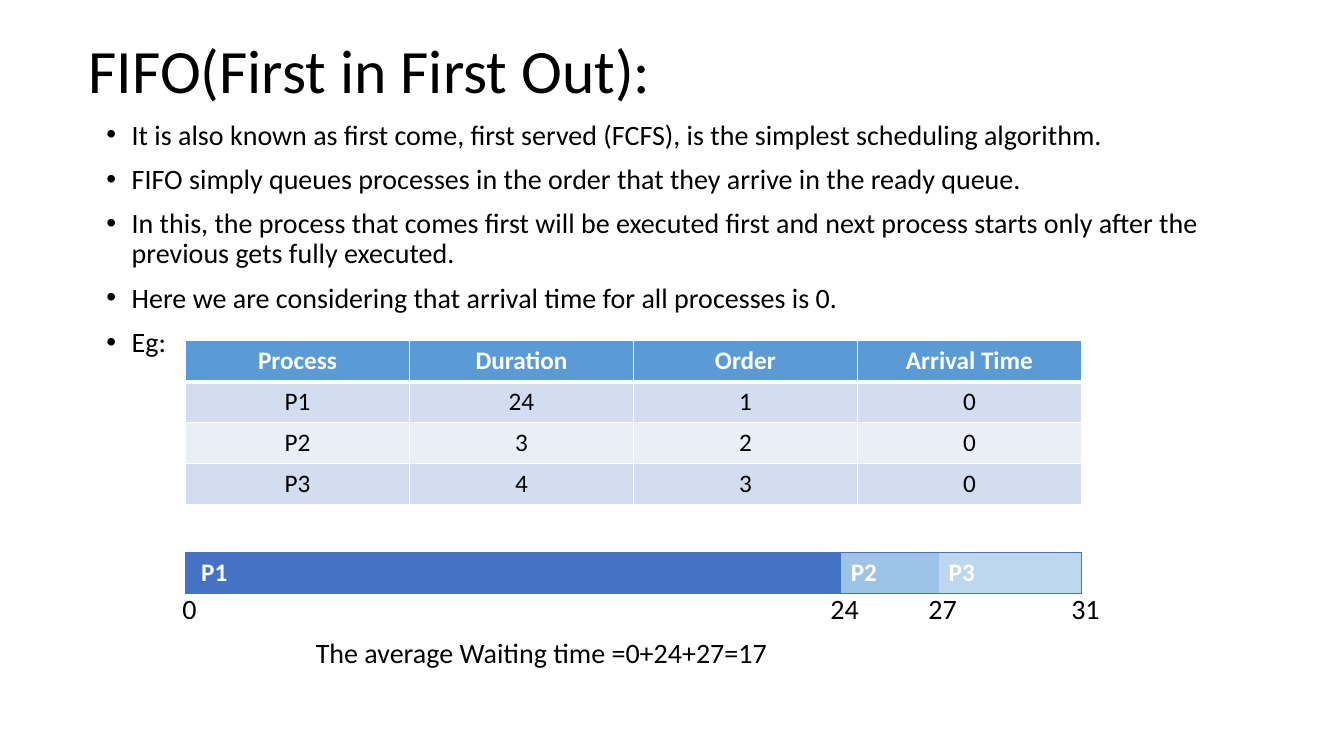
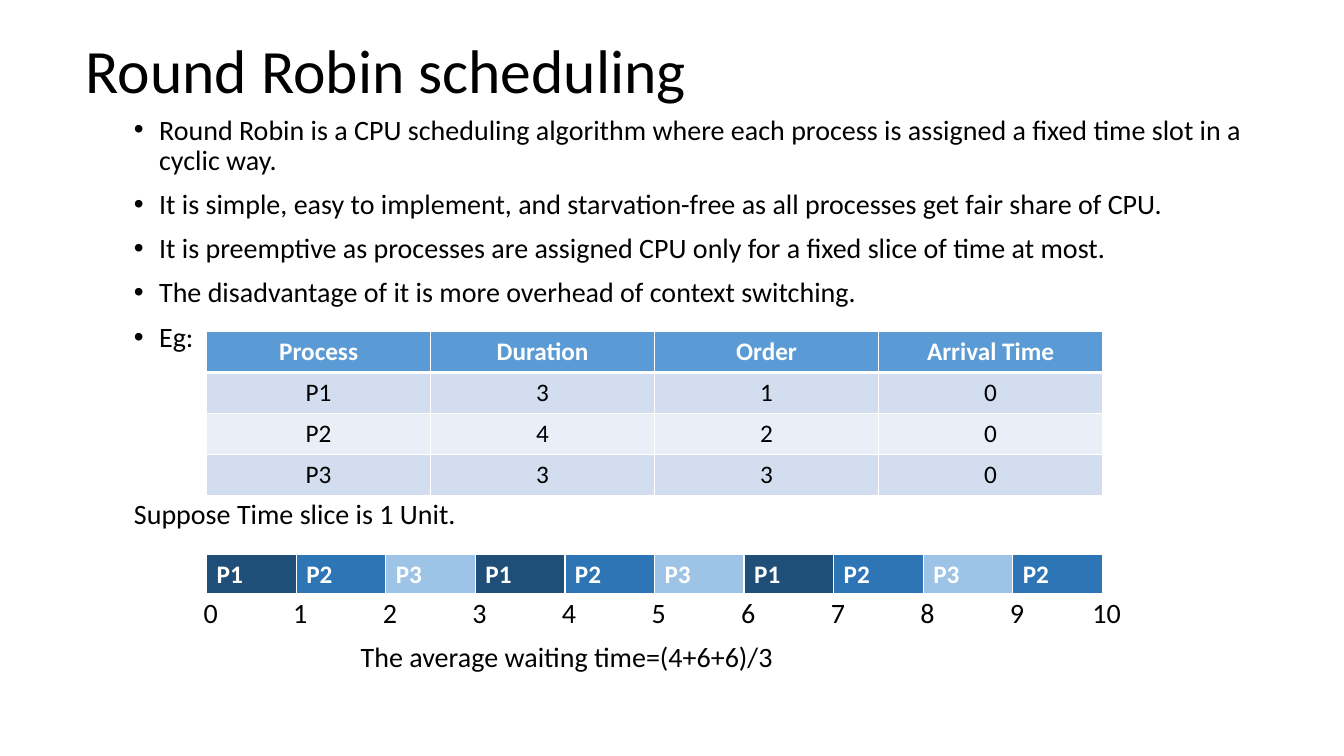
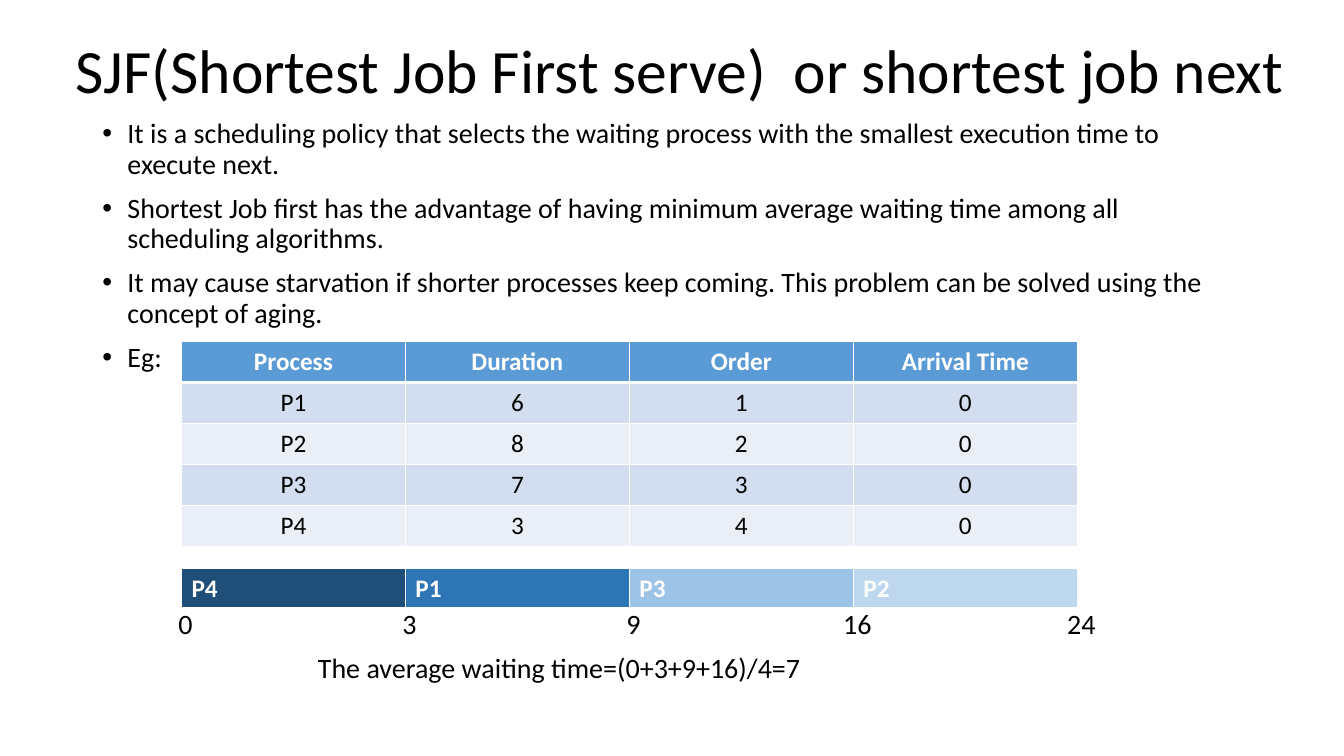
import dataclasses
import itertools
import typing

import lxml.etree
import pptx
import pptx.dml.color
import pptx.enum.text
import pptx.oxml.ns
import pptx.slide
import pptx.table
import pptx.util

Pt = pptx.util.Pt
qn = pptx.oxml.ns.qn

COLOURS = {
    "text": "000000", "white": "FFFFFF",
    "header": "5B9BD5", "band_dark": "D2DEEF", "band_light": "EAEFF7",
    "royal": "4472C4", "navy": "1F4E79", "blue": "2E75B6",
    "sky": "9DC3E6", "pale": "BDD7EE",
}
FONT = "Calibri"
SLIDE_WIDTH, SLIDE_HEIGHT = 960, 540
TITLE_HEIGHT = 104.4
TITLE_SIZE, BODY_SIZE, TABLE_SIZE = 44, 20, 18
LINE_SPACING, PARAGRAPH_GAP = 0.9, 10
BULLET_INDENT = 18
INSET = 7.2
ROW_HEIGHT = 29.2
COLUMN_WIDTH = 160
TICK_SHIFT = 3
HEADINGS = ("Process", "Duration", "Order", "Arrival Time")


class Line(typing.NamedTuple):
    """A cell border."""
    colour: str
    width: float


class Segment(typing.NamedTuple):
    """One stretch of the timeline bar."""
    label: str
    colour: str
    width: float


Borders = dict[str, Line | None]
GRID: Borders = {side: Line("white", 1) for side in "LRTB"}
UNDERLINED: Borders = {**GRID, "B": Line("white", 3)}
OUTLINE: Borders = {side: Line("royal", 0.5) for side in "LRTB"}


@dataclasses.dataclass
class Schedule:
    """The content of one scheduling slide."""
    title: str
    title_left: float
    body_left: float
    body_top: float
    bullets: list[str]
    table_left: float
    table_top: float
    durations: list[int]
    bar_top: float
    segments: list[Segment]
    ticks: list[int]
    tick_gap: float
    result: str
    result_indent: float
    title_width: float = 828
    remark: str = ""
    remark_gap: float = 0
    outlined: bool = False


def rgb(name: str) -> pptx.dml.color.RGBColor:
    """Return a named colour."""
    return pptx.dml.color.RGBColor.from_string(COLOURS[name])


def add_run(paragraph: typing.Any, text: str, size: float,
            colour: str = "text", bold: bool = False) -> None:
    """Add one formatted run."""
    run = paragraph.add_run()
    run.text = text
    run.font.name = FONT
    run.font.size = Pt(size)
    run.font.bold = bold
    run.font.color.rgb = rgb(colour)


def add_title(slide: pptx.slide.Slide, schedule: Schedule) -> None:
    """Place and fill the title placeholder."""
    title = slide.shapes.title
    title.left, title.top = Pt(schedule.title_left), Pt(0)
    title.width, title.height = Pt(schedule.title_width), Pt(TITLE_HEIGHT)
    frame = title.text_frame
    frame.auto_size = pptx.enum.text.MSO_AUTO_SIZE.NONE
    frame.vertical_anchor = pptx.enum.text.MSO_ANCHOR.MIDDLE
    paragraph = frame.paragraphs[0]
    paragraph.alignment = pptx.enum.text.PP_ALIGN.LEFT
    paragraph.line_spacing = LINE_SPACING
    add_run(paragraph, schedule.title, TITLE_SIZE)


def add_body_paragraph(frame: typing.Any, text: str, gap: float = PARAGRAPH_GAP,
                       indent: float = 0) -> typing.Any:
    """Add a body paragraph and return its properties element."""
    first = frame.paragraphs[0]
    paragraph = frame.add_paragraph() if first.runs else first
    paragraph.line_spacing = LINE_SPACING
    paragraph.space_before = Pt(gap)
    add_run(paragraph, text, BODY_SIZE)
    properties = paragraph._p.get_or_add_pPr()
    properties.set("marL", str(Pt(indent)))
    return properties


def add_bullet(frame: typing.Any, text: str) -> None:
    """Add a bulleted paragraph."""
    properties = add_body_paragraph(frame, text, indent=BULLET_INDENT)
    properties.set("indent", str(-Pt(BULLET_INDENT)))
    lxml.etree.SubElement(properties, qn("a:buFont"), typeface="Arial")
    lxml.etree.SubElement(properties, qn("a:buChar"), char="•")


def add_ticks(frame: typing.Any, schedule: Schedule) -> None:
    """Add the times, each centred under an edge of the bar."""
    text = "".join(f"\t{tick}" for tick in schedule.ticks)
    properties = add_body_paragraph(frame, text, schedule.tick_gap)
    tabs = lxml.etree.SubElement(properties, qn("a:tabLst"))
    start = schedule.table_left - schedule.body_left - INSET + TICK_SHIFT
    widths = [segment.width for segment in schedule.segments]
    for position in itertools.accumulate(widths, initial=start):
        lxml.etree.SubElement(tabs, qn("a:tab"), pos=str(Pt(position)), algn="ctr")


def add_body(slide: pptx.slide.Slide, schedule: Schedule) -> None:
    """Add the bullets, the remark, the times and the result."""
    box = slide.shapes.add_textbox(
        Pt(schedule.body_left), Pt(schedule.body_top),
        Pt(828), Pt(SLIDE_HEIGHT - schedule.body_top))
    frame = box.text_frame
    frame.word_wrap = True
    for bullet in [*schedule.bullets, "Eg:"]:
        add_bullet(frame, bullet)
    if schedule.remark:
        add_body_paragraph(frame, schedule.remark, schedule.remark_gap)
    add_ticks(frame, schedule)
    add_body_paragraph(frame, schedule.result, indent=schedule.result_indent)


def format_cell(cell: typing.Any, text: str, fill: str, borders: Borders,
                colour: str = "white", bold: bool = True,
                centred: bool = True) -> None:
    """Write a cell and set its borders and fill."""
    paragraph = cell.text_frame.paragraphs[0]
    if centred:
        paragraph.alignment = pptx.enum.text.PP_ALIGN.CENTER
    add_run(paragraph, text, TABLE_SIZE, colour, bold)
    properties = cell._tc.get_or_add_tcPr()
    for side, line in borders.items():
        border = lxml.etree.SubElement(properties, qn(f"a:ln{side}"))
        if line is None:
            lxml.etree.SubElement(border, qn("a:noFill"))
            continue
        border.set("w", str(Pt(line.width)))
        solid = lxml.etree.SubElement(border, qn("a:solidFill"))
        lxml.etree.SubElement(solid, qn("a:srgbClr"), val=COLOURS[line.colour])
    cell.fill.solid()
    cell.fill.fore_color.rgb = rgb(fill)


def add_grid(slide: pptx.slide.Slide, left: float, top: float, rows: int,
             widths: list[float]) -> pptx.table.Table:
    """Add an empty table without style bands."""
    table = slide.shapes.add_table(
        rows, len(widths), Pt(left), Pt(top),
        Pt(sum(widths)), Pt(rows * ROW_HEIGHT)).table
    table.first_row = table.horz_banding = False
    for column, width in zip(table.columns, widths):
        column.width = Pt(width)
    for row in table.rows:
        row.height = Pt(ROW_HEIGHT)
    return table


def add_process_table(slide: pptx.slide.Slide, schedule: Schedule) -> None:
    """Add the table of processes, all arriving at time 0."""
    table = add_grid(slide, schedule.table_left, schedule.table_top,
                     len(schedule.durations) + 1, [COLUMN_WIDTH] * len(HEADINGS))
    for column, heading in enumerate(HEADINGS):
        format_cell(table.cell(0, column), heading, "header", UNDERLINED)
    for order, duration in enumerate(schedule.durations, start=1):
        fill = "band_dark" if order % 2 else "band_light"
        borders = {**GRID, "T": UNDERLINED["B"]} if order == 1 else GRID
        for column, value in enumerate((f"P{order}", duration, order, 0)):
            format_cell(table.cell(order, column), str(value), fill, borders,
                        colour="text", bold=False)


def add_timeline_bar(slide: pptx.slide.Slide, schedule: Schedule) -> None:
    """Add the bar that shows which process runs when."""
    segments = schedule.segments
    table = add_grid(slide, schedule.table_left, schedule.bar_top, 1,
                     [segment.width for segment in segments])
    for column, segment in enumerate(segments):
        borders = UNDERLINED
        if schedule.outlined:
            borders = dict(OUTLINE)
            if column > 0:
                borders["L"] = None
            if column < len(segments) - 1:
                borders["R"] = None
        format_cell(table.cell(0, column), segment.label, segment.colour,
                    borders, centred=False)


SCHEDULES = [
    Schedule(
        title="FIFO(First in First Out):", title_left=56,
        body_left=69, body_top=82.8,
        bullets=[
            "It is also known as first come, first served (FCFS), is the simplest "
            "scheduling algorithm.",
            "FIFO simply queues processes in the order that they arrive in the "
            "ready queue.",
            "In this, the process that comes first will be executed first and next "
            "process starts only after the previous gets fully executed.",
            "Here we are considering that arrival time for all processes is 0.",
        ],
        table_left=132.5, table_top=243.4, durations=[24, 3, 4],
        bar_top=394.6, outlined=True,
        segments=[Segment(" P1", "royal", 468), Segment("P2", "sky", 70),
                  Segment("P3", "pale", 102)],
        ticks=[0, 24, 27, 31], tick_gap=169,
        result="The average Waiting time =0+24+27=17", result_indent=149.5),
    Schedule(
        title="Round Robin scheduling", title_left=54,
        body_left=88.6, body_top=79.2,
        bullets=[
            "Round Robin is a\u00a0CPU scheduling algorithm\u00a0where each process "
            "is assigned a fixed time slot in a cyclic way.",
            "It is simple, easy to implement, and starvation-free as all processes "
            "get fair share of CPU.",
            "It is preemptive as processes are assigned CPU only for a fixed slice "
            "of time at most.",
            "The disadvantage of it is more overhead of context switching.",
        ],
        table_left=147.6, table_top=236.9, durations=[3, 4, 3], bar_top=396,
        segments=[Segment("P1", "navy", 64), Segment("P2", "blue", 64),
                  Segment("P3", "sky", 64)] * 3 + [Segment("P2", "blue", 64)],
        ticks=list(range(11)), tick_gap=49,
        remark="Suppose Time slice is 1 Unit.", remark_gap=105,
        result="The average waiting time=(4+6+6)/3", result_indent=162),
    Schedule(
        title="SJF(Shortest Job First serve)  or shortest job next",
        title_left=47, title_width=880.5, body_left=66, body_top=82,
        bullets=[
            "It is a scheduling policy that selects the waiting process with the "
            "smallest execution time to execute next.",
            "Shortest Job first has the advantage of having minimum average "
            "waiting time among all scheduling algorithms.",
            "It may cause starvation if shorter processes keep coming. This problem "
            "can be solved using the concept of aging.",
        ],
        table_left=129.6, table_top=244.1, durations=[6, 8, 7, 3], bar_top=406,
        segments=[Segment("P4", "navy", 160), Segment("P1", "blue", 160),
                  Segment("P3", "sky", 160), Segment("P2", "pale", 160)],
        ticks=[0, 3, 9, 16, 24], tick_gap=169,
        result="The average waiting time=(0+3+9+16)/4=7", result_indent=154),
]


def main() -> None:
    """Build and save the presentation."""
    presentation = pptx.Presentation()
    presentation.slide_width = Pt(SLIDE_WIDTH)
    presentation.slide_height = Pt(SLIDE_HEIGHT)
    title_only = presentation.slide_layouts.get_by_name("Title Only")
    for schedule in SCHEDULES:
        slide = presentation.slides.add_slide(title_only)
        add_title(slide, schedule)
        add_body(slide, schedule)
        add_process_table(slide, schedule)
        add_timeline_bar(slide, schedule)
    presentation.save("out.pptx")


main()
